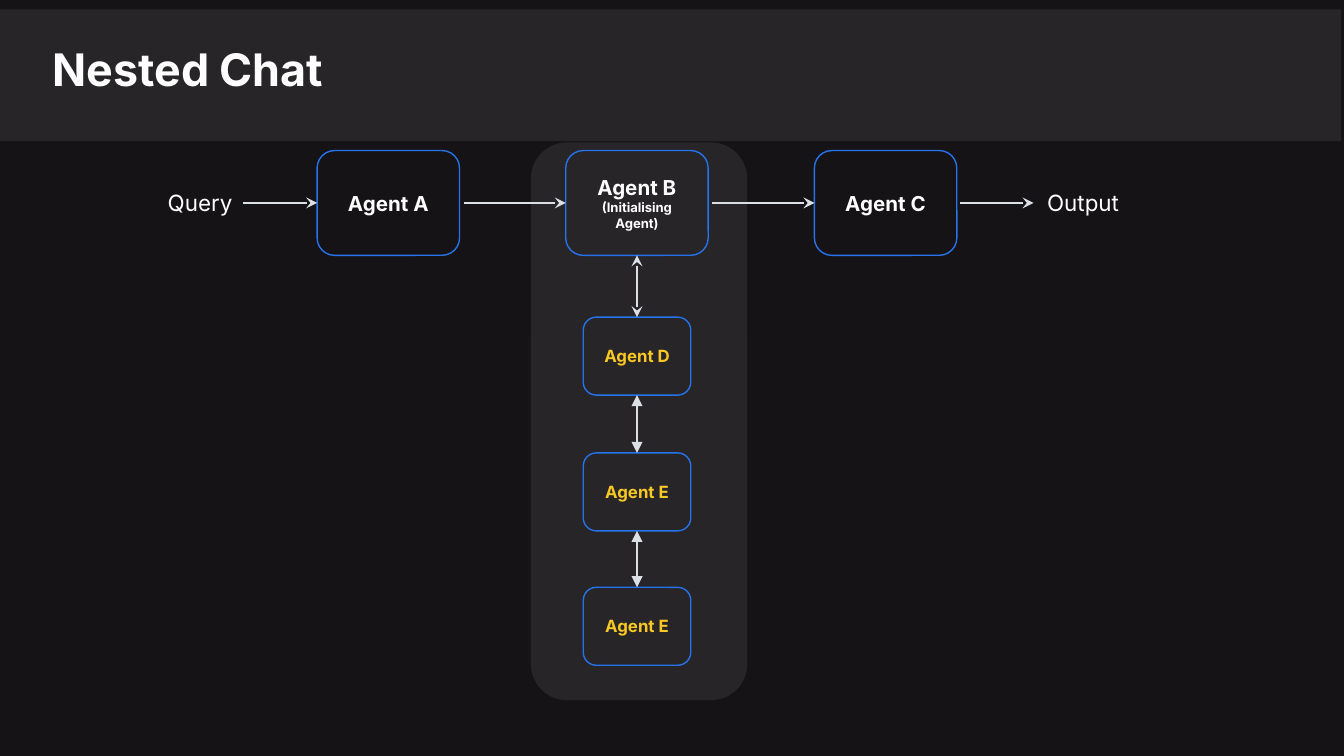
from dataclasses import dataclass
from typing import Optional

import lxml.etree
import pptx
import pptx.dml.color
import pptx.enum.shapes
import pptx.enum.text
import pptx.oxml.ns
import pptx.util

Inches = pptx.util.Inches
Shapes = pptx.enum.shapes.MSO_SHAPE
COLORS = {
    "background": "151316",
    "panel": "272528",
    "outline": "2674ED",
    "arrow": "DAE0E6",
    "white": "FFFFFF",
    "yellow": "F9C823",
}
TOP, LEFT, BOTTOM = 0, 1, 2
ROW_TOP, ROW_MIDDLE, CENTER = 1.12, 1.51, 4.74


@dataclass
class Panel:
    left: float
    top: float
    width: float
    height: float
    preset: int = Shapes.ROUNDED_RECTANGLE


@dataclass
class Line:
    text: str
    size: float
    color: str = "white"
    bold: bool = True


@dataclass
class Node:
    name: str
    left: float
    top: float
    width: float
    height: float
    lines: list[Line]
    outline: Optional[str] = "outline"


@dataclass
class Arrow:
    start: tuple[float, float]
    end: tuple[float, float]
    tail: str = "stealth"
    head: Optional[str] = None
    begin_join: Optional[tuple[str, int]] = None
    end_join: Optional[tuple[str, int]] = None


def color(name: str) -> pptx.dml.color.RGBColor:
    return pptx.dml.color.RGBColor.from_string(COLORS[name])


def write_lines(frame, lines: list[Line], anchor, alignment) -> None:
    frame_format = {
        "word_wrap": True,
        "auto_size": pptx.enum.text.MSO_AUTO_SIZE.NONE,
        "vertical_anchor": anchor,
        "margin_left": Inches(0.1),
        "margin_right": Inches(0.1),
        "margin_top": Inches(0.1),
        "margin_bottom": Inches(0.1),
    }
    for name, value in frame_format.items():
        setattr(frame, name, value)
    for index, line in enumerate(lines):
        para = frame.paragraphs[0] if index == 0 else frame.add_paragraph()
        para.alignment = alignment
        span = para.add_run()
        span.text = line.text
        font_format = {"name": "Inter", "size": pptx.util.Pt(line.size), "bold": line.bold}
        for name, value in font_format.items():
            setattr(span.font, name, value)
        span.font.color.rgb = color(line.color)


def draw_box(page, preset, left: float, top: float, width: float, height: float,
             fill: Optional[str], outline: Optional[str]):
    box = page.shapes.add_shape(preset, Inches(left), Inches(top), Inches(width), Inches(height))
    box.shadow.inherit = False
    if fill:
        box.fill.solid()
        box.fill.fore_color.rgb = color(fill)
    else:
        box.fill.background()
    if outline:
        box.line.color.rgb = color(outline)
        box.line.width = pptx.util.Pt(0.75)
    else:
        box.line.fill.background()
    return box


def draw_panel(page, panel: Panel) -> None:
    draw_box(page, panel.preset, panel.left, panel.top, panel.width, panel.height, "panel", None)


def draw_node(page, node: Node):
    box = draw_box(page, Shapes.ROUNDED_RECTANGLE, node.left, node.top,
                   node.width, node.height, None, node.outline)
    write_lines(box.text_frame, node.lines, pptx.enum.text.MSO_ANCHOR.MIDDLE,
                pptx.enum.text.PP_ALIGN.CENTER)
    return box


def draw_arrow(page, arrow: Arrow, boxes: dict) -> None:
    points = [Inches(value) for value in (*arrow.start, *arrow.end)]
    connector = page.shapes.add_connector(pptx.enum.shapes.MSO_CONNECTOR.STRAIGHT, *points)
    if arrow.begin_join:
        name, side = arrow.begin_join
        connector.begin_connect(boxes[name], side)
    if arrow.end_join:
        name, side = arrow.end_join
        connector.end_connect(boxes[name], side)
    connector.line.color.rgb = color("arrow")
    connector.line.width = pptx.util.Pt(1.5)
    properties = connector.element.spPr
    outline = properties.find(pptx.oxml.ns.qn("a:ln"))
    for tag, kind in (("a:headEnd", arrow.head), ("a:tailEnd", arrow.tail)):
        if kind:
            lxml.etree.SubElement(outline, pptx.oxml.ns.qn(tag), type=kind)
    lxml.etree.SubElement(properties, pptx.oxml.ns.qn("a:effectLst"))


def draw_title(page, text: str) -> None:
    title = page.shapes.title
    position = {"left": 0.29, "top": 0.21, "width": 8.74, "height": 0.58}
    for name, value in position.items():
        setattr(title, name, Inches(value))
    write_lines(title.text_frame, [Line(text, 24)], pptx.enum.text.MSO_ANCHOR.TOP,
                pptx.enum.text.PP_ALIGN.LEFT)
    title.element.getparent().append(title.element)


def main_agent(name: str, left: float, *notes: Line) -> Node:
    return Node(name, left, ROW_TOP, 1.06, 0.78, [Line(f"Agent {name}", 11), *notes])


def nested_agent(name: str, text: str, top: float) -> Node:
    return Node(name, CENTER - 0.4, top, 0.8, 0.58, [Line(text, 9, "yellow")])


def label(text: str, left: float) -> Node:
    return Node(text, left, ROW_TOP, 1.46, 0.78, [Line(text, 12, bold=False)], None)


def row_arrow(start: float, end: float, target: Optional[str] = None) -> Arrow:
    return Arrow((start, ROW_MIDDLE), (end, ROW_MIDDLE),
                 end_join=(target, LEFT) if target else None)


def chain_arrow(upper: Node, lower: Node, tip: str) -> Arrow:
    return Arrow((CENTER, upper.top + upper.height), (CENTER, lower.top), tip, tip,
                 (upper.name, BOTTOM), (lower.name, TOP))


PANELS = [
    Panel(3.95, 1.06, 1.61, 4.15),
    Panel(0, 0.07, 9.98, 0.98, Shapes.RECTANGLE),
    Panel(3.95, 2.24, 1.61, 2.96),
]
CHAIN = [
    main_agent("B", 4.21, Line("(Initialising Agent)", 7)),
    nested_agent("D", "Agent D", 2.36),
    nested_agent("E", "Agent E", 3.37),
    nested_agent("Last E", "Agent E", 4.37),
]
NODES = [label("Query", 0.76), main_agent("A", 2.36), *CHAIN,
         main_agent("C", 6.06), label("Output", 7.33)]
ARROWS = [
    row_arrow(1.81, 2.36, "A"),
    row_arrow(3.45, 4.21, "B"),
    row_arrow(5.3, 6.06, "C"),
    row_arrow(7.14, 7.69),
    *(chain_arrow(upper, lower, tip) for upper, lower, tip
      in zip(CHAIN, CHAIN[1:], ("stealth", "triangle", "triangle"))),
]


def main() -> None:
    deck = pptx.Presentation()
    deck.slide_width = Inches(10)
    deck.slide_height = deck.slide_width * 9 // 16
    page = deck.slides.add_slide(deck.slide_layouts.get_by_name("Title Only"))
    page.background.fill.solid()
    page.background.fill.fore_color.rgb = color("background")
    for panel in PANELS:
        draw_panel(page, panel)
    draw_title(page, "Nested Chat")
    boxes = {node.name: draw_node(page, node) for node in NODES}
    for arrow in ARROWS:
        draw_arrow(page, arrow, boxes)
    deck.save("out.pptx")


if __name__ == "__main__":
    main()
